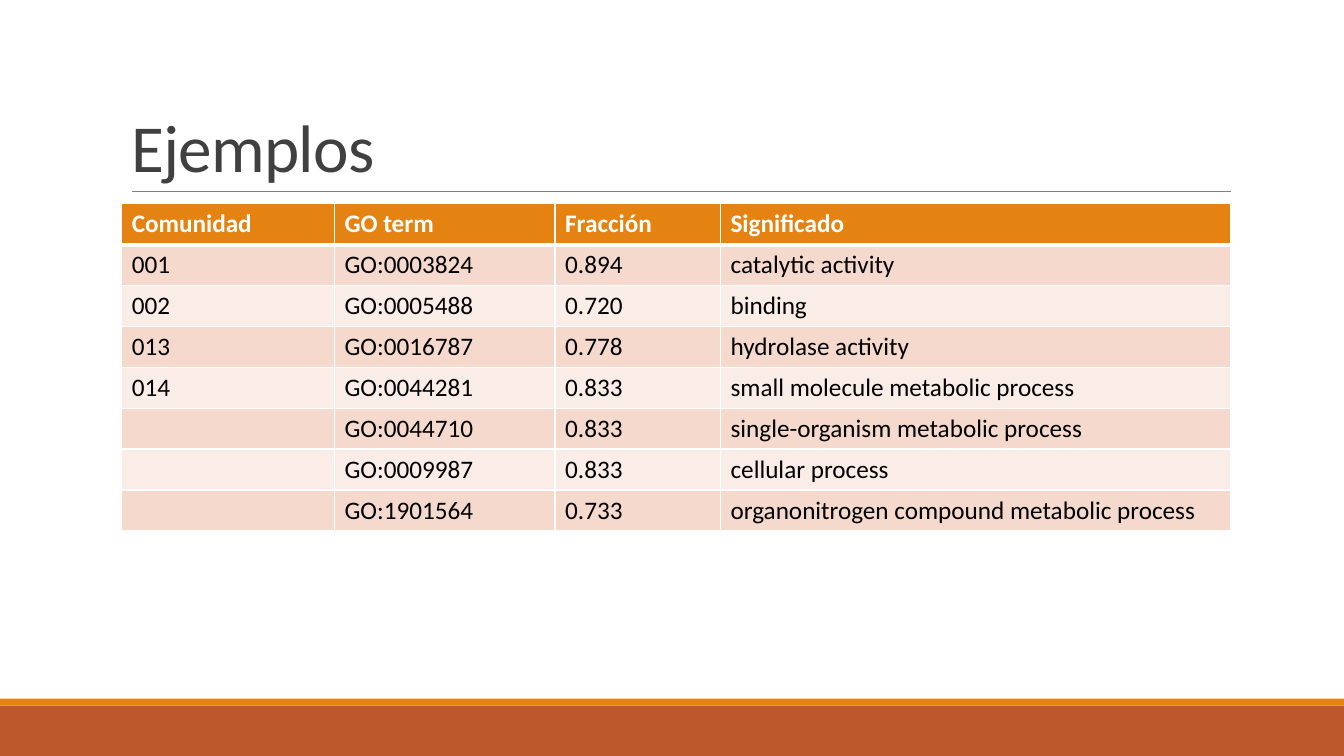
from lxml import etree
from pptx import Presentation
from pptx.dml.color import RGBColor
from pptx.enum.shapes import MSO_CONNECTOR, MSO_SHAPE
from pptx.enum.text import MSO_ANCHOR, PP_ALIGN
from pptx.oxml.ns import qn
from pptx.util import Pt

RECT = MSO_SHAPE.RECTANGLE
STRAIGHT = MSO_CONNECTOR.STRAIGHT
BOTTOM = MSO_ANCHOR.BOTTOM
LEFT = PP_ALIGN.LEFT

COLORS = {
    "title": "404040", "rule": "808080", "footer": "BD582C", "accent": "E48312",
    "odd": "F5D9CC", "even": "FAEDE7", "white": "FFFFFF", "black": "000000",
}
ROWS = [
    ("Comunidad", "GO term", "Fracción", "Significado"),
    ("001", "GO:0003824", "0.894", "catalytic activity"),
    ("002", "GO:0005488", "0.720", "binding"),
    ("013", "GO:0016787", "0.778", "hydrolase activity"),
    ("014", "GO:0044281", "0.833", "small molecule metabolic process"),
    ("", "GO:0044710", "0.833", "single-organism metabolic process"),
    ("", "GO:0009987", "0.833", "cellular process"),
    ("", "GO:1901564", "0.733", "organonitrogen compound metabolic process"),
]
COLUMN_WIDTHS = [152, 157.6, 118.2, 364.2]
ROW_HEIGHT = 29.2


def rgb(name):
    return RGBColor.from_string(COLORS[name])


def set_font(font, color, **values):
    font.color.rgb = rgb(color)
    for name, value in values.items():
        setattr(font, name, value)


prs = Presentation()
prs.slide_width, prs.slide_height = Pt(960), Pt(540)
s = prs.slides.add_slide(prs.slide_layouts[5])

# Footer bands
for top, height, color in [(504, 36, "footer"), (499, 5, "accent")]:
    band = s.shapes.add_shape(RECT, 0, Pt(top), Pt(960), Pt(height))
    band.shadow.inherit = False
    band.fill.solid()
    band.fill.fore_color.rgb = rgb(color)
    band.line.fill.background()

# Rule under the title
rule = s.shapes.add_connector(STRAIGHT, Pt(94.3), Pt(136.8), Pt(879), Pt(136.8))
rule.line.color.rgb = rgb("rule")
rule.line.width = Pt(0.5)
etree.SubElement(rule.element.spPr, qn("a:effectLst"))

# Title
title = s.shapes.title
title.left, title.top, title.width, title.height = Pt(86.4), Pt(22.6), Pt(792), Pt(114.2)
tf = title.text_frame
tf.word_wrap = True
tf.vertical_anchor = BOTTOM
p = tf.paragraphs[0]
p.alignment = LEFT
p.line_spacing = 0.85
r = p.add_run()
r.text = "Ejemplos"
set_font(r.font, "title", name="Calibri", size=Pt(48))
r.font._element.set("spc", "-50")

# Table
table = s.shapes.add_table(
    len(ROWS), len(COLUMN_WIDTHS), Pt(86.9), Pt(145.6),
    Pt(sum(COLUMN_WIDTHS)), Pt(ROW_HEIGHT * len(ROWS))).table
for column, width in zip(table.columns, COLUMN_WIDTHS):
    column.width = Pt(width)
for i, values in enumerate(ROWS):
    table.rows[i].height = Pt(ROW_HEIGHT)
    header = i == 0
    fill = "accent" if header else "odd" if i % 2 else "even"
    for j, text in enumerate(values):
        cell = table.cell(i, j)
        tc_pr = cell._tc.get_or_add_tcPr()
        for side in "LRTB":
            thick = (header and side == "B") or (i == 1 and side == "T")
            border = etree.SubElement(tc_pr, qn(f"a:ln{side}"), w=str(Pt(3 if thick else 1)))
            line_fill = etree.SubElement(border, qn("a:solidFill"))
            etree.SubElement(line_fill, qn("a:srgbClr"), val=COLORS["white"])
        cell.fill.solid()
        cell.fill.fore_color.rgb = rgb(fill)
        if text:
            r = cell.text_frame.paragraphs[0].add_run()
            r.text = text
            set_font(r.font, "white" if header else "black",
                     name="Calibri", size=Pt(18), bold=header)

prs.save("out.pptx")
